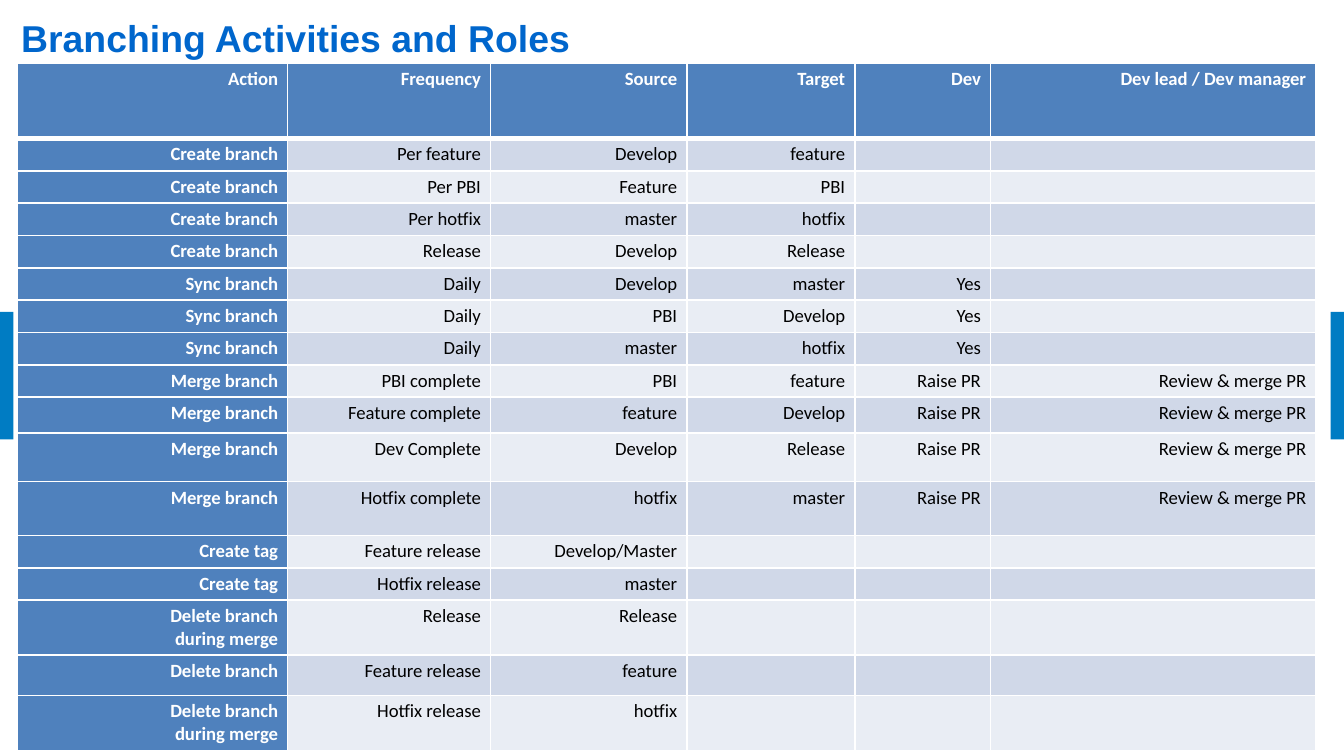
from dataclasses import dataclass
from typing import NamedTuple

from lxml.etree import SubElement
from pptx import Presentation
from pptx.dml.color import RGBColor
from pptx.enum.shapes import MSO_SHAPE
from pptx.enum.text import MSO_ANCHOR, PP_ALIGN
from pptx.oxml.ns import qn
from pptx.util import Inches, Pt


@dataclass(frozen=True)
class Theme:
    title: str = "0066CC"
    side_bar: str = "007CC3"
    head: str = "4F81BD"
    bands: tuple[str, str] = ("E9EDF4", "D0D8E8")
    white: str = "FFFFFF"
    black: str = "000000"
    title_font: str = "Arial"
    body_font: str = "Calibri"
    title_size: int = 20
    body_size: int = 10
    rule: int = 1
    head_rule: int = 3


class Activity(NamedTuple):
    action: str
    frequency: str
    source: str
    target: str = ""
    dev: str = ""
    lead: str = ""
    height: float = 0.23


class Box(NamedTuple):
    left: float
    top: float
    width: float
    height: float


THEME = Theme()
TITLE_BOX = Box(0.06, 0.01, 9.5, 0.58)
SIDE_BARS = [Box(left, 2.32, 0.11, 0.95) for left in (-0.01, 9.9)]
COLUMNS = (2.01, 1.51, 1.46, 1.25, 1.01, 2.42)
INSET_SCALE = 0.72  # share of the default cell margins
REVIEW = "Review & merge PR"
DELETE_MERGED = "Delete branch\nduring merge"

ACTIVITIES = [
    Activity("Action", "Frequency", "Source", "Target", "Dev", "Dev lead / Dev manager", 0.56),
    Activity("Create branch", "Per feature", "Develop", "feature"),
    Activity("Create branch", "Per PBI", "Feature", "PBI"),
    Activity("Create branch", "Per hotfix", "master", "hotfix"),
    Activity("Create branch", "Release", "Develop", "Release"),
    Activity("Sync branch", "Daily", "Develop", "master", "Yes"),
    Activity("Sync branch", "Daily", "PBI", "Develop", "Yes"),
    Activity("Sync branch", "Daily", "master", "hotfix", "Yes"),
    Activity("Merge branch", "PBI complete", "PBI", "feature", "Raise PR", REVIEW),
    Activity("Merge branch", "Feature complete", "feature", "Develop", "Raise PR", REVIEW, 0.27),
    Activity("Merge branch", "Dev Complete", "Develop", "Release", "Raise PR", REVIEW, 0.36),
    Activity("Merge branch", "Hotfix complete", "hotfix", "master", "Raise PR", REVIEW, 0.4),
    Activity("Create tag", "Feature release", "Develop/Master"),
    Activity("Create tag", "Hotfix release", "master"),
    Activity(DELETE_MERGED, "Release", "Release", height=0.27),
    Activity("Delete branch", "Feature release", "feature", height=0.3),
    Activity(DELETE_MERGED, "Hotfix release", "hotfix", height=0.4),
]


def write_text(tf, text: str, *, font: str, size: int, color: str, bold: bool = False,
               align=PP_ALIGN.LEFT, spacing: float = 1.0) -> None:
    """Write one paragraph per line; empty paragraphs keep the type size too."""
    tf.word_wrap = True
    for i, line in enumerate(text.split("\n")):
        p = tf.add_paragraph() if i else tf.paragraphs[0]
        p.alignment = align
        p.line_spacing = spacing
        if line:
            r = p.add_run()
            r.text = line
            r.font.name = font
            r.font.size = Pt(size)
            r.font.bold = bold
            r.font.color.rgb = RGBColor.from_string(color)
        else:
            SubElement(p._p, qn("a:endParaRPr"), sz=str(size * 100))


def set_borders(cell, color: str, **widths: int) -> None:
    """Draw the sides L, R, T and B with the given widths in points."""
    tc_pr = cell._tc.get_or_add_tcPr()
    for i, (side, width) in enumerate(widths.items()):
        ln = tc_pr.makeelement(qn(f"a:ln{side}"), {"w": str(Pt(width))})
        fill = SubElement(ln, qn("a:solidFill"))
        SubElement(fill, qn("a:srgbClr"), val=color)
        tc_pr.insert(i, ln)


def add_side_bar(s, box: Box) -> None:
    sp = s.shapes.add_shape(MSO_SHAPE.RECTANGLE, *map(Inches, box))
    sp.shadow.inherit = False
    sp.fill.solid()
    sp.fill.fore_color.rgb = RGBColor.from_string(THEME.side_bar)
    sp.line.fill.background()


def add_title(s, text: str) -> None:
    tf = s.shapes.add_textbox(*map(Inches, TITLE_BOX)).text_frame
    tf.vertical_anchor = MSO_ANCHOR.MIDDLE
    write_text(tf, text, font=THEME.title_font, size=THEME.title_size,
               color=THEME.title, bold=True, spacing=0.9)


def format_cell(cell, text: str, row: int, col: int) -> None:
    is_head = row == 0 or col == 0
    cell.margin_left = cell.margin_right = Inches(0.1 * INSET_SCALE)
    cell.margin_top = cell.margin_bottom = Inches(0.05 * INSET_SCALE)
    cell.fill.solid()
    fill = THEME.head if is_head else THEME.bands[row % 2]
    cell.fill.fore_color.rgb = RGBColor.from_string(fill)
    set_borders(cell, THEME.white, L=THEME.rule, R=THEME.rule,
                T=THEME.head_rule if row == 1 else THEME.rule,
                B=THEME.head_rule if row == 0 else THEME.rule)
    write_text(cell.text_frame, text, font=THEME.body_font, size=THEME.body_size,
               color=THEME.white if is_head else THEME.black,
               bold=is_head, align=PP_ALIGN.RIGHT)


def add_activity_table(s, activities: list[Activity]) -> None:
    height = sum(a.height for a in activities)
    box = Box(0.13, 0.47, sum(COLUMNS), height)
    table = s.shapes.add_table(len(activities), len(COLUMNS), *map(Inches, box)).table
    table.first_row = table.horz_banding = False
    for column, width in zip(table.columns, COLUMNS):
        column.width = Inches(width)
    for row, activity in enumerate(activities):
        table.rows[row].height = Inches(activity.height)
        for col, text in enumerate(activity[:len(COLUMNS)]):
            format_cell(table.cell(row, col), text, row, col)


def main() -> None:
    prs = Presentation()
    prs.slide_width, prs.slide_height = Inches(10), Inches(10 * 9 / 16)
    s = prs.slides.add_slide(prs.slide_layouts[6])
    for box in SIDE_BARS:
        add_side_bar(s, box)
    add_activity_table(s, ACTIVITIES)
    add_title(s, "Branching Activities and Roles")
    prs.save("out.pptx")


if __name__ == "__main__":
    main()
